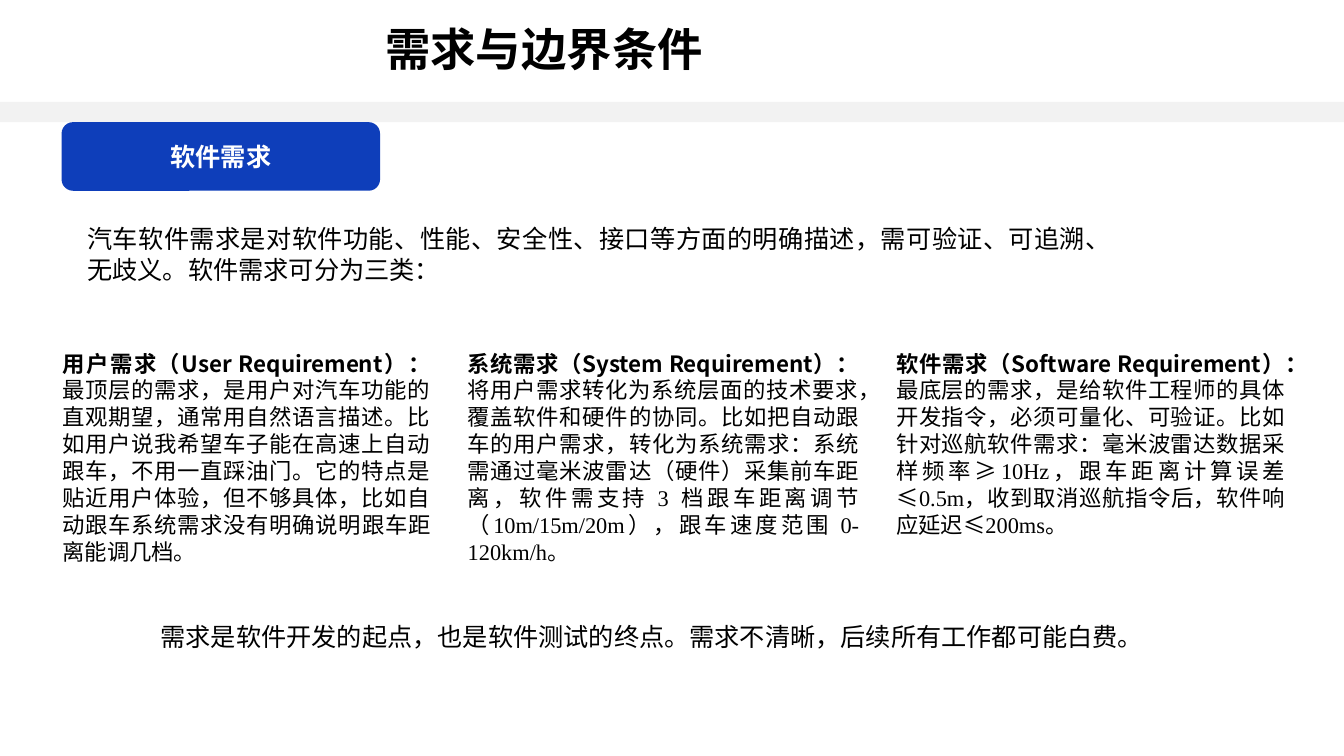
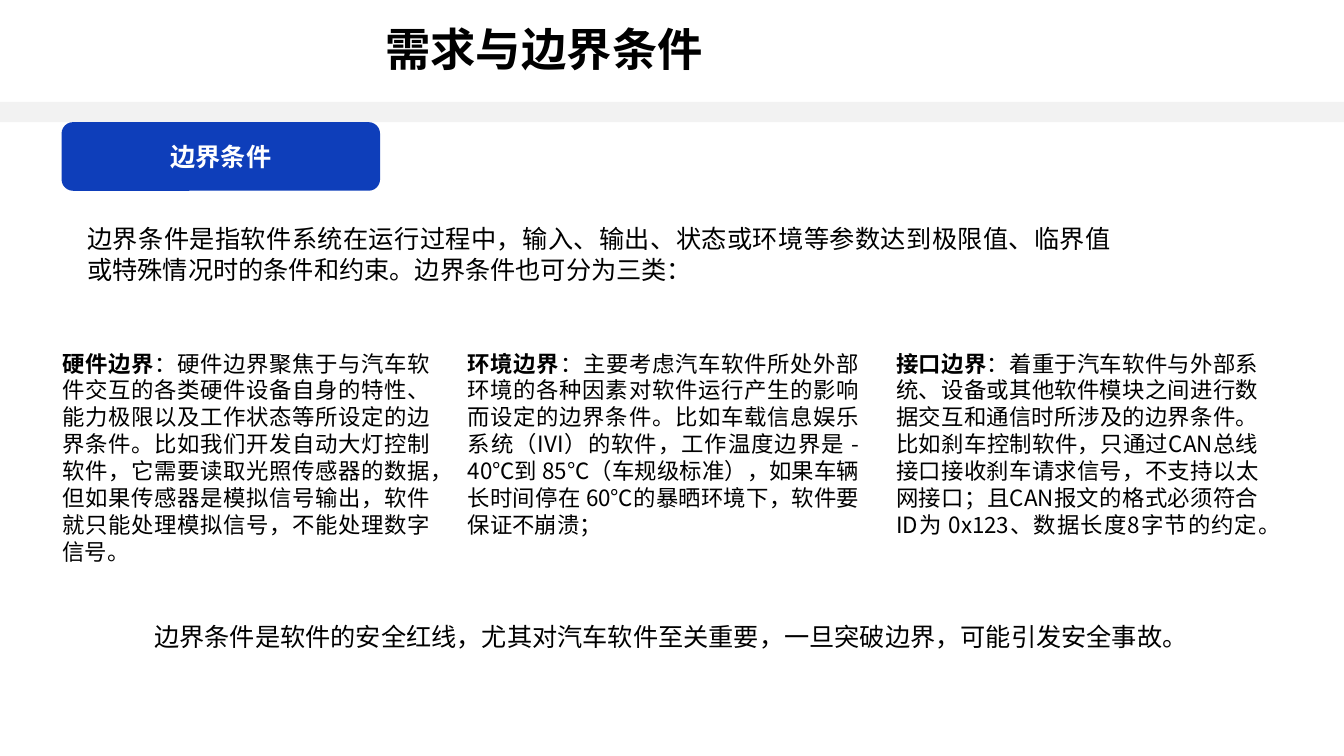
from dataclasses import dataclass

from lxml import etree
from pptx import Presentation
from pptx.dml.color import RGBColor
from pptx.enum import lang, shapes, text
from pptx.oxml import ns
from pptx.util import Pt

# Shared style
BLACK = RGBColor(0x00, 0x00, 0x00)
WHITE = RGBColor(0xFF, 0xFF, 0xFF)
BLUE = RGBColor(0x0E, 0x3E, 0xBA)
BAND_GREY = RGBColor(0xF2, 0xF2, 0xF2)
CJK_FONT = "Noto Sans CJK SC"
LATIN_FONT = "Times New Roman"
TITLE = "需求与边界条件"
SLIDE_WIDTH, SLIDE_HEIGHT = Pt(960), Pt(540)
COLUMN_LEFTS = (37.5, 327, 633)
COLUMN_TOP = 246.25
JUSTIFY = text.PP_ALIGN.JUSTIFY


@dataclass
class Column:
    heading: str
    passages: list  # alternately in CJK_FONT and LATIN_FONT
    width: float
    height: float = 162
    grow: bool = True


@dataclass
class Topic:
    label: str
    introduction: str
    columns: list
    conclusion: str
    conclusion_left: float
    conclusion_width: float


# Slide contents
TOPICS = [
    Topic(
        "软件需求",
        "汽车软件需求是对软件功能、性能、安全性、接口等方面的明确描述，需可验证、可追溯、无歧义。软件需求可分为三类：",
        [
            Column("用户需求（User Requirement）：", [
                "最顶层的需求，是用户对汽车功能的直观期望，通常用自然语言描述。"
                "比如用户说我希望车子能在高速上自动跟车，不用一直踩油门。"
                "它的特点是贴近用户体验，但不够具体，比如自动跟车",
                "系统需求没有明确说明", "跟车距离能调几档。"], 277.2),
            Column("系统需求（System Requirement）：", [
                "将用户需求转化为系统层面的技术要求，覆盖软件和硬件的协同。"
                "比如把自动跟车的用户需求，转化为系统需求："
                "系统需通过毫米波雷达（硬件）采集前车距离，软件需支持 ",
                "3 ", "档跟车距离调节（", "10m/15m/20m",
                "），跟车速度范围 ", "0-120km/h", "。"], 293.75),
            Column("软件需求（Software Requirement）：", [
                "最底层的需求，是给软件工程师的具体开发指令，必须可量化、可验证。"
                "比如针对巡航软件需求：毫米波雷达数据采样频率",
                "≥10Hz，", "跟车距离计算误差", "≤0.5m，",
                "收到取消巡航指令后，软件响应延迟", "≤200ms", "。"],
                292.3, 240, False),
        ],
        "需求是软件开发的起点，也是软件测试的终点。需求不清晰，后续所有工作都可能白费。",
        83.5, 751,
    ),
    Topic(
        "边界条件",
        "边界条件是指软件系统在运行过程中，输入、输出、状态或环境等参数达到极限值、临界值或特殊情况时的条件和约束。边界条件也可分为三类：",
        [
            Column("硬件边界", [
                "：",
                "硬件边界聚焦于与汽车软件交互的各类硬件设备自身的特性、"
                "能力极限以及工作状态等所设定的边界条件。"
                "比如我们开发自动大灯控制软件，它需要读取光照传感器的数据，"
                "但如果传感器是模拟信号输出，软件就只能处理模拟信号，不能处理数字信号。"],
                277.2),
            Column("环境边界", [
                "：主要考虑汽车软件所处外部环境的各种因素对软件运行产生的影响而设定的边界条件。"
                "比如车载信息娱乐系统（IVI）的软件，工作温度边界是 - 40℃到 85℃（车规级标准），"
                "如果车辆长时间停在 60℃的暴晒环境下，软件要保证不崩溃；"], 293.75, 142.5),
            Column("接口边界", [
                "：着重于汽车软件与外部系统、设备或其他软件模块之间进行数据交互和通信时所涉及的边界条件。"
                "比如刹车控制软件，只通过CAN总线接口接收刹车请求信号，不支持以太网接口；"
                "且CAN报文的格式必须符合ID为 0x123、数据长度8字节的约定。"], 272.9, 240, False),
        ],
        "边界条件是软件的安全红线，尤其对汽车软件至关重要，一旦突破边界，可能引发安全事故。",
        79.2, 767,
    ),
]


def add_run(paragraph, content, size=18, color=BLACK, bold=False, font=CJK_FONT):
    run = paragraph.add_run()
    run.text = content
    run.font.size = Pt(size)
    run.font.bold = bold
    run.font.color.rgb = color
    run.font.name = font
    run.font.language_id = lang.MSO_LANGUAGE_ID.SIMPLIFIED_CHINESE
    # East Asian characters always use the CJK font
    east_asian = etree.SubElement(run._r.get_or_add_rPr(), ns.qn("a:ea"))
    east_asian.set("typeface", CJK_FONT)


def add_title(slide):
    title = slide.shapes.title
    title.left, title.top, title.width, title.height = Pt(268), Pt(15), Pt(594), Pt(47)
    frame = title.text_frame
    frame.auto_size = text.MSO_AUTO_SIZE.NONE
    frame.vertical_anchor = text.MSO_ANCHOR.MIDDLE
    paragraph = frame.paragraphs[0]
    paragraph.alignment = text.PP_ALIGN.LEFT
    paragraph.line_spacing = 0.8
    add_run(paragraph, TITLE, size=32.4, bold=True)


def add_filled_shape(slide, kind, left, top, width, height, color):
    shape = slide.shapes.add_shape(kind, Pt(left), Pt(top), Pt(width), Pt(height))
    shape.shadow.inherit = False
    shape.fill.solid()
    shape.fill.fore_color.rgb = color
    shape.line.fill.background()
    return shape


def add_label(slide, content):
    label = add_filled_shape(slide, shapes.MSO_SHAPE.ROUNDED_RECTANGLE,
                             44, 87.25, 227.5, 49, BLUE)
    label.text_frame.vertical_anchor = text.MSO_ANCHOR.MIDDLE
    paragraph = label.text_frame.paragraphs[0]
    paragraph.alignment = text.PP_ALIGN.CENTER
    add_run(paragraph, content, color=WHITE, bold=True)


def add_text_box(slide, left, top, width, height, alignment=None, grow=True):
    """Add an empty wrapping box and return its first paragraph."""
    box = slide.shapes.add_textbox(Pt(left), Pt(top), Pt(width), Pt(height))
    frame = box.text_frame
    frame.word_wrap = True
    frame.auto_size = (text.MSO_AUTO_SIZE.SHAPE_TO_FIT_TEXT if grow
                       else text.MSO_AUTO_SIZE.NONE)
    paragraph = frame.paragraphs[0]
    paragraph.alignment = alignment
    return paragraph


def add_column(slide, left, column):
    paragraph = add_text_box(slide, left, COLUMN_TOP, column.width, column.height,
                             JUSTIFY, column.grow)
    add_run(paragraph, column.heading, size=16, bold=True)
    for index, passage in enumerate(column.passages):
        add_run(paragraph, passage, size=16, font=LATIN_FONT if index % 2 else CJK_FONT)


def add_topic_slide(presentation, topic):
    slide = presentation.slides.add_slide(presentation.slide_layouts[5])
    # Header
    add_filled_shape(slide, shapes.MSO_SHAPE.RECTANGLE, 0, 72.75, 960, 14.5, BAND_GREY)
    add_title(slide)
    add_label(slide, topic.label)
    # Introduction and three columns
    add_run(add_text_box(slide, 55.25, 156.25, 746, 51, JUSTIFY), topic.introduction)
    for left, column in zip(COLUMN_LEFTS, topic.columns):
        add_column(slide, left, column)
    # Conclusion with an indented first line
    paragraph = add_text_box(slide, topic.conclusion_left, 440,
                             topic.conclusion_width, 29)
    paragraph._p.get_or_add_pPr().set("indent", str(Pt(24)))
    add_run(paragraph, topic.conclusion)


def main():
    presentation = Presentation()
    presentation.slide_width, presentation.slide_height = SLIDE_WIDTH, SLIDE_HEIGHT
    for topic in TOPICS:
        add_topic_slide(presentation, topic)
    presentation.save("out.pptx")


if __name__ == "__main__":
    main()
